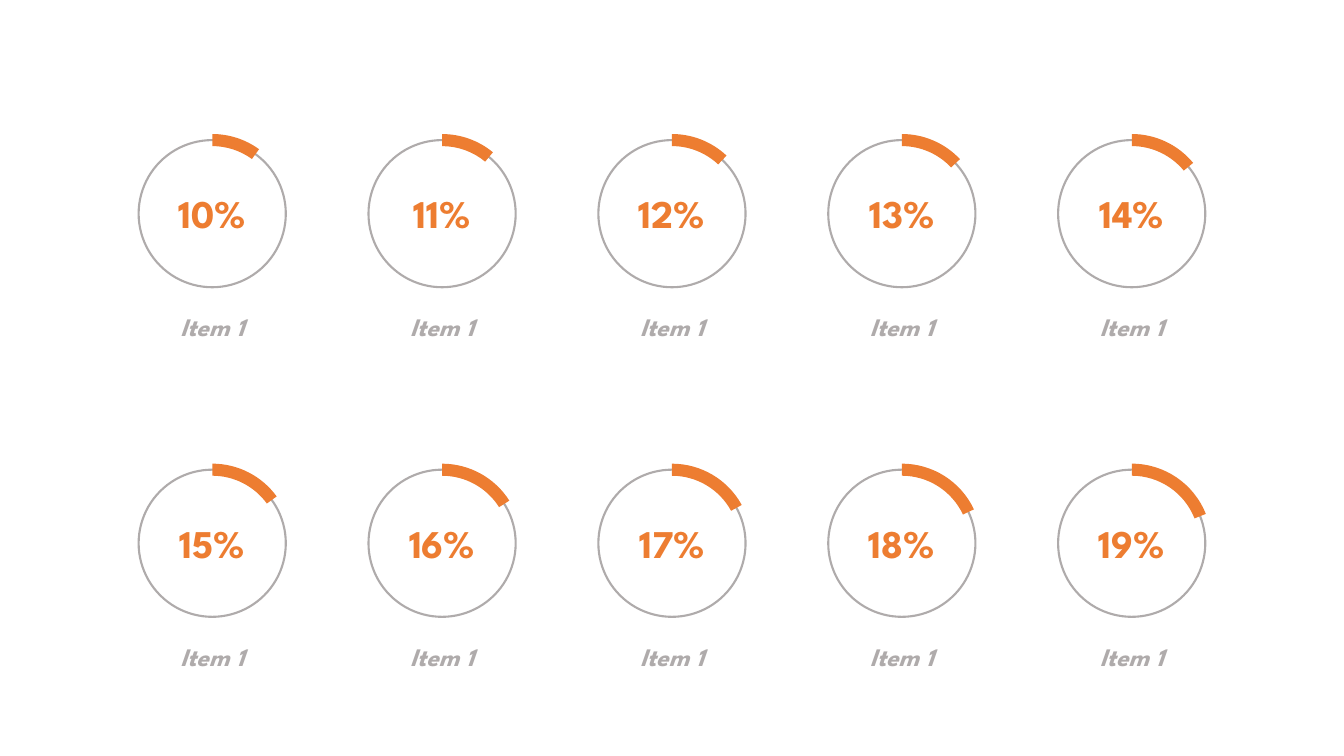
import math
from lxml import etree
from pptx import Presentation, util as u
from pptx.dml.color import RGBColor
from pptx.enum import shapes, text
from pptx.oxml.ns import qn

ORANGE, GREY = "ED7D31", "AFABAB"
FONT = "League Spartan"
WIDTH, HEIGHT = 13.33, 7.5
COLS, ROWS = 5, 2
COL_STEP, ROW_STEP = 2.28, 3.27
FIRST_X, FIRST_Y = WIDTH / 2 - (COLS - 1) / 2 * COL_STEP, 2.12
RADIUS, OUTER, INNER = 0.73, 0.79, 0.67


def rgb(hex_color):
    return RGBColor.from_string(hex_color)


def curve_to(segment, points):
    """Turn a straight path segment into a cubic curve through its control points."""
    curve = etree.Element(qn("a:cubicBezTo"))
    for x, y in points:
        etree.SubElement(curve, qn("a:pt"), x=str(int(x)), y=str(int(y)))
    segment.getparent().replace(segment, curve)


prs = Presentation()
prs.slide_width, prs.slide_height = u.Inches(WIDTH), u.Inches(HEIGHT)
slide = prs.slides.add_slide(prs.slide_layouts[6])

for i in range(ROWS * COLS):
    row, col = divmod(i, COLS)
    cx, cy = FIRST_X + col * COL_STEP, FIRST_Y + row * ROW_STEP
    percent = 10 + i
    group = slide.shapes.add_group_shape()

    ring = group.shapes.add_shape(
        shapes.MSO_SHAPE.OVAL, u.Inches(cx - RADIUS), u.Inches(cy - RADIUS),
        u.Inches(2 * RADIUS), u.Inches(2 * RADIUS))
    ring.shadow.inherit = False
    ring.fill.background()
    ring.line.color.rgb = rgb(GREY)
    ring.line.width = u.Pt(1.5)

    for content, drop, width, height, size, color, italic in (
            (f"{percent}%", -0.29, 1.5, 0.57, 28, ORANGE, None),
            ("Item 1", 0.92, 2.24, 0.4, 18, GREY, True)):
        sp = group.shapes.add_textbox(u.Inches(cx - width / 2), u.Inches(cy + drop),
                                      u.Inches(width), u.Inches(height))
        tf = sp.text_frame
        tf.word_wrap = True
        tf.auto_size = text.MSO_AUTO_SIZE.SHAPE_TO_FIT_TEXT
        p = tf.paragraphs[0]
        p.text = content
        p.alignment = text.PP_ALIGN.CENTER
        p.font.name, p.font.size = FONT, u.Pt(size)
        p.font.bold, p.font.italic = True, italic
        p.font.color.rgb = rgb(color)

    # Corners and curve handles are measured from the band's top left corner.
    sweep = math.tau * percent / 100
    sin, cos = math.sin(sweep), math.cos(sweep)
    pull = 4 / 3 * math.tan(sweep / 4)
    arc = [(0, 1), (pull, 1), (sin - pull * cos, cos + pull * sin), (sin, cos)]
    outer, inner = ([(u.Inches(r * x), u.Inches(OUTER - r * y)) for x, y in arc]
                    for r in (OUTER, INNER))
    builder = group.shapes.build_freeform(*outer[0])
    builder.add_line_segments([outer[3], inner[3], inner[0]], close=True)
    band = builder.convert_to_shape(u.Inches(cx), u.Inches(cy - OUTER))
    segments = list(band.element.iter(qn("a:lnTo")))
    curve_to(segments[0], outer[1:])
    curve_to(segments[2], inner[2::-1])
    band.shadow.inherit = False
    band.fill.solid()
    band.fill.fore_color.rgb = rgb(ORANGE)
    band.line.fill.background()

prs.save("out.pptx")
